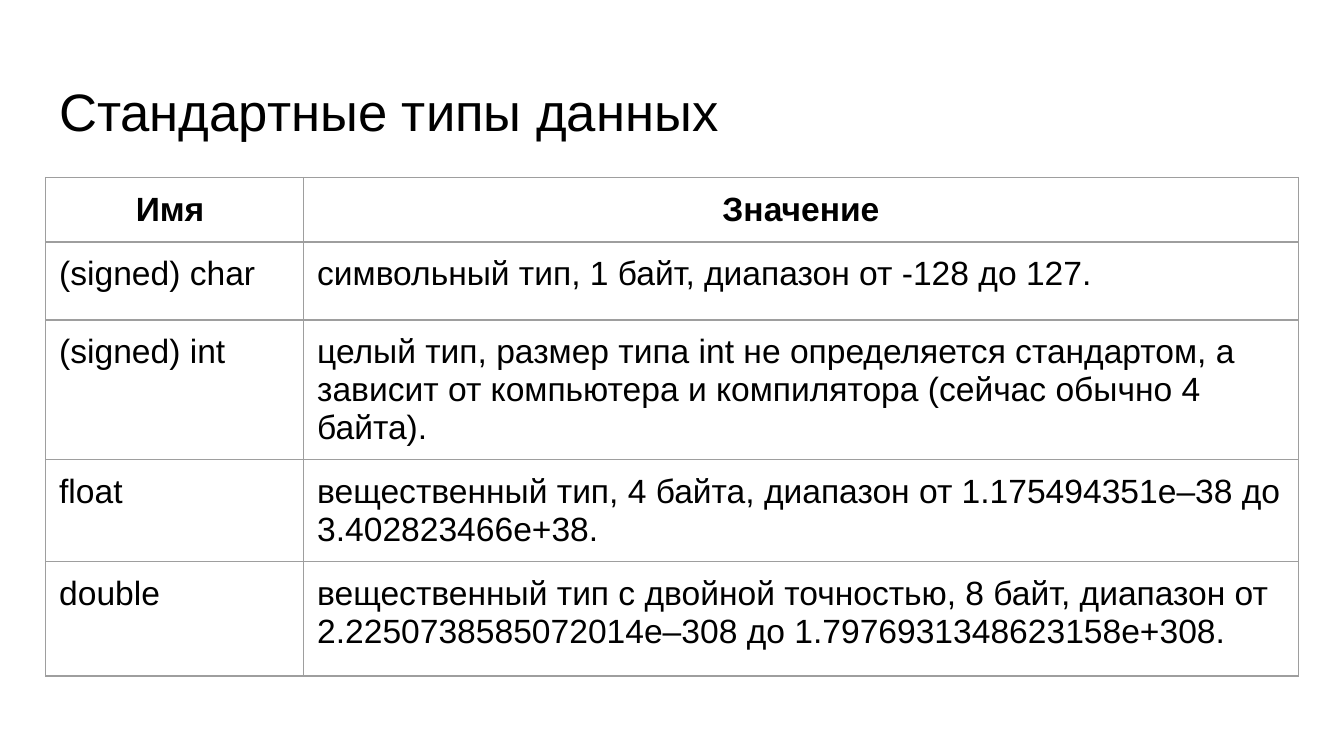
from dataclasses import dataclass

from lxml.etree import SubElement
from pptx import Presentation
from pptx.dml.color import RGBColor
from pptx.enum.text import MSO_ANCHOR, MSO_AUTO_SIZE, PP_ALIGN
from pptx.oxml.ns import qn
from pptx.util import Inches, Pt


@dataclass(frozen=True)
class Theme:
    font: str = "Arial"
    text: RGBColor = RGBColor(0, 0, 0)
    border: str = "9E9E9E"
    border_width: Pt = Pt(0.75)
    title_size: Pt = Pt(28.2)
    table_size: Pt = Pt(18)
    inset: Inches = Inches(0.1)


HEADER = ("Имя ", "Значение")
TYPES = [
    ("(signed) char", "символьный тип, 1 байт, диапазон от -128 до 127."),
    ("(signed) int", "целый тип, размер типа int не определяется стандартом, а "
                     "зависит от компьютера и компилятора (сейчас обычно 4 байта)."),
    ("float", "вещественный тип, 4 байта, диапазон от 1.175494351e–38 до "
              "3.402823466e+38."),
    ("double", "вещественный тип с двойной точностью, 8 байт, диапазон от "
               "2.2250738585072014e–308 до 1.7976931348623158e+308."),
]
COLUMN_WIDTHS = (1.92, 7.4)
ROW_HEIGHTS = (0.38, 0.58, 0.71, 0.56, 0.85)
LEFT = 0.34


class SlideBuilder:
    def __init__(self, page, theme):
        self.page = page
        self.theme = theme

    def style_paragraph(self, paragraph, size, bold=False, align=PP_ALIGN.LEFT):
        paragraph.alignment = align
        font = paragraph.font
        font.name, font.size, font.bold = self.theme.font, size, bold
        font.color.rgb = self.theme.text

    def set_margins(self, holder):
        holder.margin_left = holder.margin_right = self.theme.inset
        holder.margin_top = holder.margin_bottom = self.theme.inset

    def add_title(self, text, left, top, width, height):
        title = self.page.shapes.title
        title.left, title.top = Inches(left), Inches(top)
        title.width, title.height = Inches(width), Inches(height)
        frame = title.text_frame
        frame.text = text
        frame.word_wrap = True
        frame.auto_size = MSO_AUTO_SIZE.NONE
        frame.vertical_anchor = MSO_ANCHOR.TOP
        self.set_margins(frame)
        paragraph = frame.paragraphs[0]
        paragraph.line_spacing = 1.0
        self.style_paragraph(paragraph, self.theme.title_size)

    def add_table(self, rows, left, top, widths, heights):
        """Add a bordered table whose first row is a centred bold header."""
        table = self.page.shapes.add_table(
            len(rows), len(widths), Inches(left), Inches(top),
            Inches(sum(widths)), Inches(sum(heights))).table
        table.first_row = table.horz_banding = False
        for column, width in zip(table.columns, widths):
            column.width = Inches(width)
        for row, height, texts in zip(table.rows, heights, rows):
            row.height = Inches(height)
            for cell, text in zip(row.cells, texts):
                self.fill_cell(cell, text, is_header=texts is rows[0])

    def fill_cell(self, cell, text, is_header):
        cell.text = text
        self.set_margins(cell)
        cell.vertical_anchor = MSO_ANCHOR.MIDDLE if is_header else MSO_ANCHOR.TOP
        self.style_paragraph(
            cell.text_frame.paragraphs[0], self.theme.table_size, is_header,
            PP_ALIGN.CENTER if is_header else PP_ALIGN.LEFT)
        self.add_borders(cell)
        cell.fill.background()

    def add_borders(self, cell):
        properties = cell._tc.get_or_add_tcPr()
        for side in ("a:lnL", "a:lnR", "a:lnT", "a:lnB"):
            line = SubElement(properties, qn(side), w=str(self.theme.border_width))
            fill = SubElement(line, qn("a:solidFill"))
            SubElement(fill, qn("a:srgbClr"), val=self.theme.border)


def main():
    deck = Presentation()
    deck.slide_width = Inches(10)
    deck.slide_height = deck.slide_width * 9 // 16
    title_only = deck.slide_layouts[5]
    builder = SlideBuilder(deck.slides.add_slide(title_only), Theme())
    builder.add_title("Стандартные типы данных", LEFT, 0.49, sum(COLUMN_WIDTHS), 0.63)
    builder.add_table([HEADER, *TYPES], LEFT, 1.32, COLUMN_WIDTHS, ROW_HEIGHTS)
    deck.save("out.pptx")


if __name__ == "__main__":
    main()
